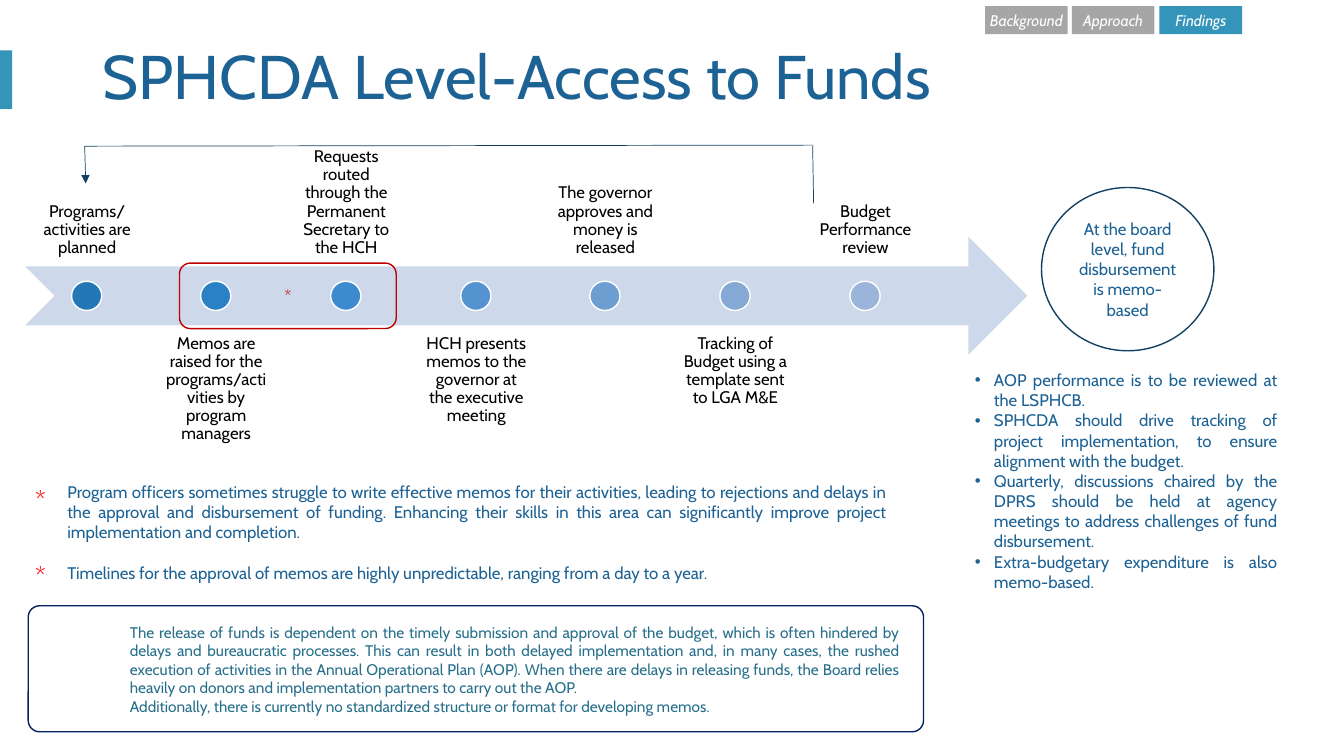
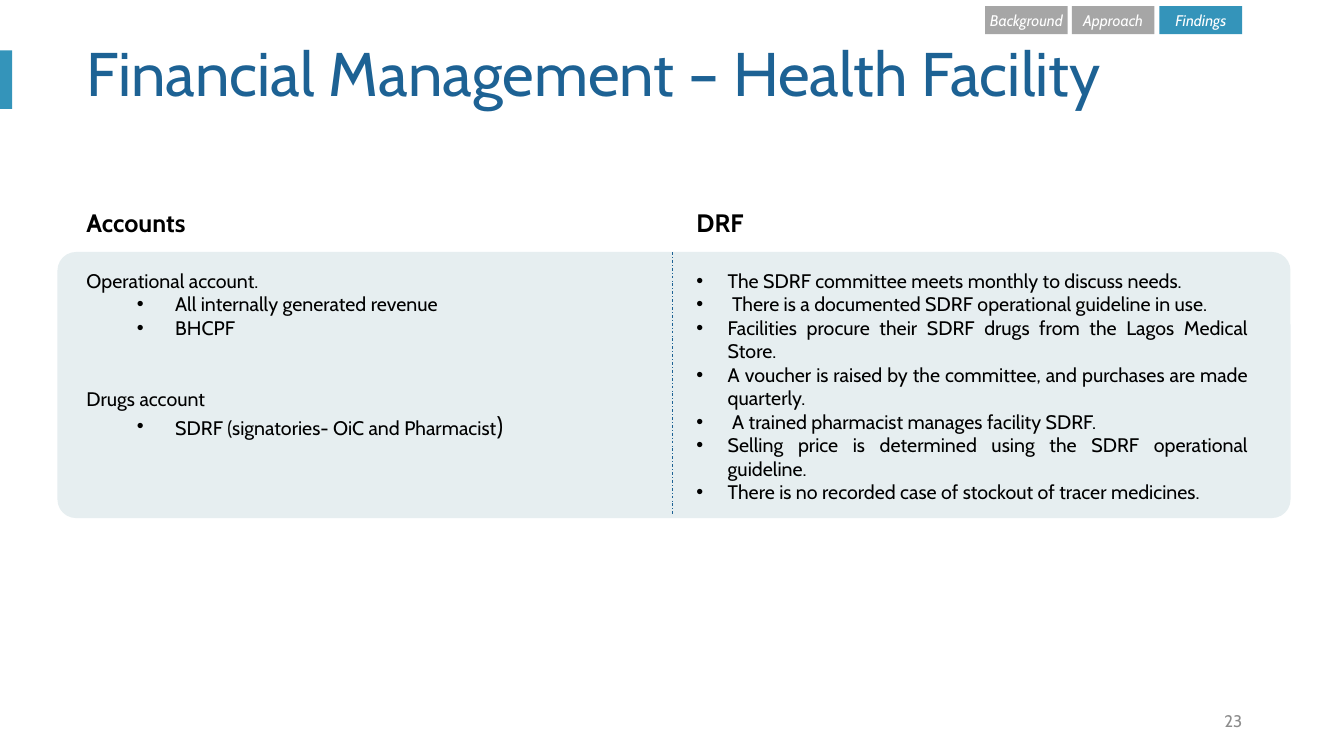
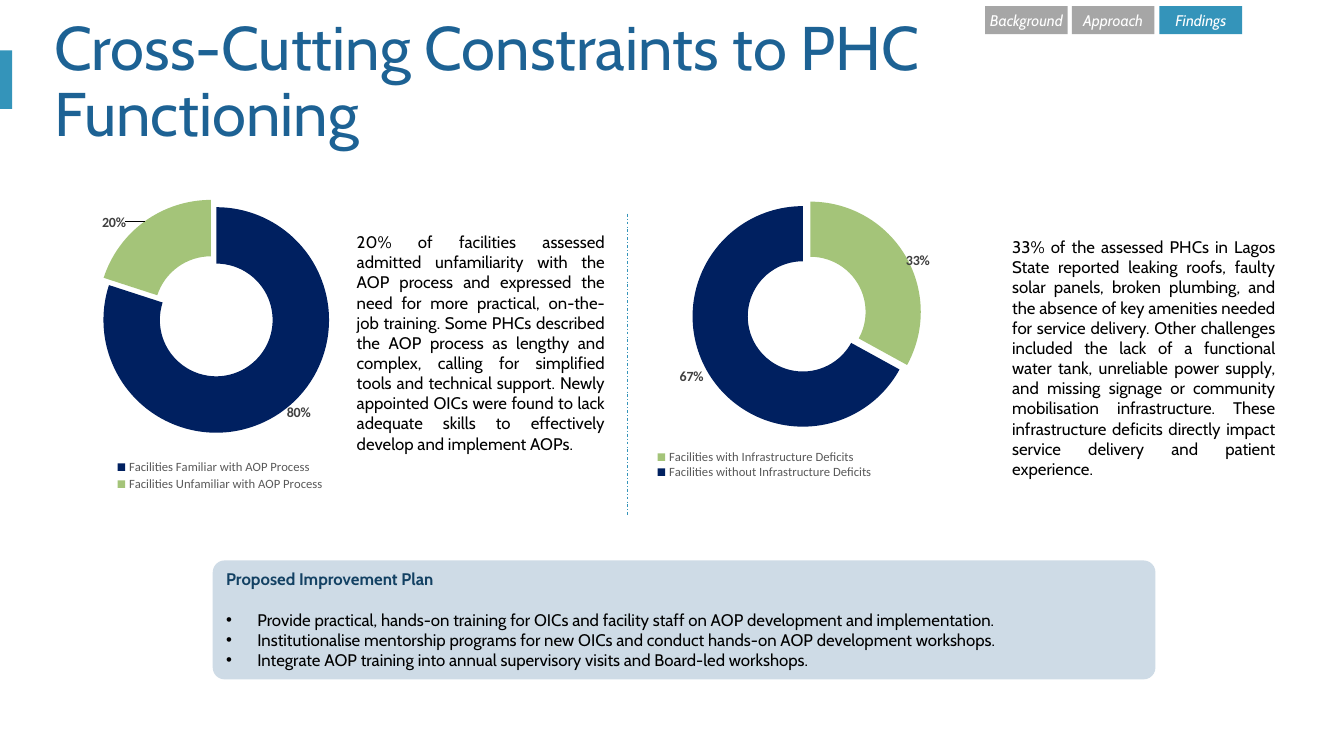
import copy

import lxml.etree
import pptx
import pptx.chart.data
import pptx.dml.color
import pptx.enum.chart
import pptx.enum.dml
import pptx.enum.shapes
import pptx.enum.text
import pptx.oxml
import pptx.oxml.ns
import pptx.util


class Theme:
    font, plain = "Cabin", "Calibri"
    title, head, body, text, small, label, key = 44, 18, 14, 12, 11, 10, 9
    white, black, gray, mute = "FFFFFF", "000000", "A6A6A6", "8C8C8C"
    teal, blue, ink, navy, green = "3494BA", "1D6294", "134163", "002060", "A4C479"
    note, red, dark = "276F8B", "FF0000", "C00000"
    arrow, panel, plan = "CDD9EA", "E6EEF0", "CEDBE6"
    steps = ["2277B4", "2B81C5", "3C8ACF", "5593D0", "6D9ED2", "84A9D5", "9AB5D9"]


PX = 9144  # 100 px to the inch
Pt = pptx.util.Pt
RGB = pptx.dml.color.RGBColor.from_string
qn = pptx.oxml.ns.qn
ALIGN = pptx.enum.text.PP_ALIGN
ANCHOR = pptx.enum.text.MSO_ANCHOR
KIND = pptx.enum.shapes.MSO_SHAPE
BASE = dict(size=Theme.text, color=Theme.black, bold=False, italic=False,
            align=ALIGN.LEFT, lead=None, gap=0, left=0, hang=0)


def put(page, kind, box, lines=(), fill=None, edge=None, adj=None,
        anchor=ANCHOR.TOP, pad=(10, 5), **look):
    """Add a shape, or a text box when kind is None, with its paragraphs."""
    place = [n * PX for n in box]
    if kind is None:
        shape = page.shapes.add_textbox(*place)
    else:
        shape = page.shapes.add_shape(kind, *place)
        shape.shadow.inherit = False
        if fill:
            shape.fill.solid()
            shape.fill.fore_color.rgb = RGB(fill)
        else:
            shape.fill.background()
        if edge:
            shape.line.color.rgb = RGB(edge)
            shape.line.width = Pt(1)
        else:
            shape.line.fill.background()
        if adj:
            shape.adjustments[0] = adj
    frame = shape.text_frame
    wide, high = (n * PX for n in pad)
    for name, val in dict(word_wrap=True, vertical_anchor=anchor,
                          margin_left=wide, margin_right=wide,
                          margin_top=high, margin_bottom=high).items():
        setattr(frame, name, val)
    for i, item in enumerate(lines):
        text, own = item if isinstance(item, tuple) else (item, {})
        form = {**BASE, **look, **own}
        para = frame.add_paragraph() if i else frame.paragraphs[0]
        if form["hang"]:
            props = para._p.get_or_add_pPr()
            props.set("marL", str(form["left"] * PX))
            props.set("indent", str(-form["hang"] * PX))
            lxml.etree.SubElement(props, qn("a:buFont")).set("typeface", "Arial")
            lxml.etree.SubElement(props, qn("a:buChar")).set("char", "•")
        for name, val in dict(alignment=form["align"], line_spacing=form["lead"],
                              space_before=Pt(form["gap"])).items():
            setattr(para, name, val)
        run = para.add_run()
        run.text = text
        for name, val in dict(name=Theme.font, size=Pt(form["size"]),
                              bold=form["bold"], italic=form["italic"]).items():
            setattr(run.font, name, val)
        run.font.color.rgb = RGB(form["color"])
    return shape


def rule(page, ends, color, dash=None, tip=False):
    """Add a thin line, dashed or with an arrowhead at its end."""
    link = page.shapes.add_connector(pptx.enum.shapes.MSO_CONNECTOR.STRAIGHT,
                                     *[n * PX for n in ends])
    link.line.color.rgb = RGB(color)
    link.line.width = Pt(0.5)
    if dash:
        link.line.dash_style = dash
    props = link.element.find(qn("p:spPr"))
    if tip:
        tail = lxml.etree.SubElement(props.find(qn("a:ln")), qn("a:tailEnd"))
        tail.set("type", "triangle")
    lxml.etree.SubElement(props, qn("a:effectLst"))


deck = pptx.Presentation()
deck.slide_width, deck.slide_height = 1333 * PX, 750 * PX
DASH = pptx.enum.dml.MSO_LINE.DASH_DOT

# Shared frame: side band, tabs and title
pages = []
for title, left, top in (
    ("SPHCDA Level-Access to Funds", 92, 40),
    ("Financial Management – Health Facility", 76, 37),
    ("Cross-Cutting Constraints to PHC Functioning", 44, 44),
):
    page = deck.slides.add_slide(deck.slide_layouts[6])
    pages.append(page)
    put(page, KIND.RECTANGLE, (0, 50, 12, 58), fill=Theme.teal)
    for i, tab in enumerate(("Background", "Approach", "Findings")):
        put(page, KIND.RECTANGLE, (977 + i * 173 // 2, 6, 82, 28), [tab],
            fill=Theme.teal if tab == "Findings" else Theme.gray,
            anchor=ANCHOR.MIDDLE, pad=(0, 0), align=ALIGN.CENTER,
            size=Theme.small, color=Theme.white, italic=True)
    put(page, None, (left, top, 1150, 78), [title], anchor=ANCHOR.MIDDLE,
        size=Theme.title, color=Theme.blue, lead=0.9)
funds, desk, limits = pages

# Slide 1: process arrow with its steps above and below
put(funds, KIND.NOTCHED_RIGHT_ARROW, (25, 235, 994, 117), fill=Theme.arrow)
steps = [
    "Programs/ activities are planned",
    "Memos are raised for the programs/activities by program managers",
    "Requests routed through the Permanent Secretary to the HCH",
    "HCH presents memos to the governor at the executive meeting",
    "The governor approves and money is released",
    "Tracking of Budget using a template sent to LGA M&E",
    "Budget Performance review",
]
for i, (step, tone) in enumerate(zip(steps, Theme.steps)):
    x = 25 + i * 772 // 6
    put(funds, None, (x, 323 if i % 2 else 147, 123, 117), [step], pad=(9, 9),
        anchor=ANCHOR.TOP if i % 2 else ANCHOR.BOTTOM,
        align=ALIGN.CENTER, lead=0.9)
    put(funds, KIND.OVAL, (x + 46, 279, 30, 29), fill=tone, edge=Theme.white)

# Feedback loop from review to planning
for ends, tip in (((84, 145, 85, 182), True), ((806, 145, 807, 202), False),
                  ((84, 145, 807, 144), False)):
    rule(funds, ends, Theme.ink, tip=tip)

# Marked steps and the notes on them
put(funds, KIND.ROUNDED_RECTANGLE, (178, 261, 215, 65), ["*"], edge=Theme.dark,
    anchor=ANCHOR.MIDDLE, align=ALIGN.CENTER, color=Theme.dark)
for y in (476, 551):
    put(funds, None, (25, y, 34, 40), ["*"], size=Theme.head, color=Theme.red)
put(funds, None, (57, 473, 833, 111), [
    "Program officers sometimes struggle to write effective memos for their "
    "activities, leading to rejections and delays in the approval and "
    "disbursement of funding. Enhancing their skills in this area can "
    "significantly improve project implementation and completion.",
    ("Timelines for the approval of memos are highly unpredictable, ranging "
     "from a day to a year.", dict(gap=14.5, align=ALIGN.LEFT)),
], align=ALIGN.JUSTIFY, color=Theme.blue)

# Board remarks
put(funds, KIND.OVAL, (1033, 186, 171, 162),
    ["At the board level, fund disbursement is memo-based"], edge=Theme.ink,
    anchor=ANCHOR.MIDDLE, align=ALIGN.CENTER, color=Theme.blue)
put(funds, None, (957, 362, 320, 212), [
    "AOP performance is to be reviewed at the LSPHCB.",
    "SPHCDA should drive tracking of project implementation, to "
    "ensure alignment with the budget.",
    "Quarterly, discussions chaired by the DPRS should be held at agency "
    "meetings to address challenges of fund disbursement.",
    "Extra-budgetary expenditure is also memo-based.",
], align=ALIGN.JUSTIFY, color=Theme.blue, left=19, hang=19)

# Summary box
put(funds, KIND.ROUNDED_RECTANGLE, (28, 601, 888, 125), fill=Theme.white,
    edge=Theme.navy, adj=0.09)
put(funds, None, (119, 613, 784, 103), [
    "The release of funds is dependent on the timely submission and approval "
    "of the budget, which is often hindered by delays and bureaucratic "
    "processes. This can result in both delayed implementation and, in many "
    "cases, the rushed execution of activities in the Annual Operational Plan "
    "(AOP). When there are delays in releasing funds, the Board relies heavily "
    "on donors and implementation partners to carry out the AOP.",
    "Additionally, there is currently no standardized structure or format for "
    "developing memos.",
], align=ALIGN.JUSTIFY, size=Theme.small, color=Theme.note)

# Slide 2: two columns on one panel
put(desk, KIND.ROUNDED_RECTANGLE, (57, 250, 1223, 264), fill=Theme.panel, adj=0.07)
head = dict(size=Theme.head, bold=True)
deep = dict(left=88, hang=38)
flat = dict(left=31, hang=31)
first = put(desk, None, (76, 201, 567, 242), [
    ("Accounts", head),
    ("Operational account.", dict(gap=22)),
    ("All internally generated revenue", deep),
    ("BHCPF", deep),
    ("Drugs account", dict(gap=34)),
    ("SDRF (signatories- OiC and Pharmacist", deep),
], align=ALIGN.JUSTIFY, size=Theme.body)
mark = first.text_frame.paragraphs[-1].add_run()
mark.text = ")"
for name, val in dict(name=Theme.font, size=Pt(Theme.head)).items():
    setattr(mark.font, name, val)
put(desk, None, (681, 201, 567, 259), [
    ("DRF", head),
    ("The SDRF committee meets monthly to discuss needs.", dict(flat, gap=22)),
    (" There is a documented SDRF operational guideline in use.", flat),
    ("Facilities procure their SDRF drugs from the Lagos Medical Store.", flat),
    ("A voucher is raised by the committee, and purchases are made quarterly.", flat),
    (" A trained pharmacist manages facility SDRF.", flat),
    ("Selling price is determined using the SDRF operational guideline.", flat),
    ("There is no recorded case of stockout of tracer medicines.", flat),
], align=ALIGN.JUSTIFY, size=Theme.body)
rule(desk, (667, 250, 667, 510), Theme.blue, dash=DASH)
put(desk, None, (942, 695, 300, 40), ["23"], anchor=ANCHOR.MIDDLE,
    align=ALIGN.RIGHT, color=Theme.mute)

# Slide 3: two doughnuts; plot and key are shares of the chart (x, y, w, h)
rings = [
    dict(box=(587, 185, 398, 300), vals=(33, 67), tones=(Theme.green, Theme.navy),
         cats=("Facilities with Infrastructure Deficits",
               "Facilities without Infrastructure Deficits"),
         plot=(0.27, 0, 0.55, 0.83), key=(0.14, 0.87, 0.58, 0.1),
         shifts=((0.09, -0.03), (-0.1, 0.06)), share=True),
    dict(box=(34, 193, 361, 300), vals=(0.8, 0.2), tones=(Theme.navy, Theme.green),
         cats=("Facilities Familiar with AOP Process",
               "Facilities Unfamiliar with AOP Process"),
         plot=(0.19, 0.04, 0.62, 0.75), key=(0.21, 0.87, 0.6, 0.12),
         shifts=((0.09, 0.08), (-0.13, -0.07)), share=False),
]
for ring in rings:
    data = pptx.chart.data.CategoryChartData(number_format="0%")
    data.categories = ring["cats"]
    data.add_series("Series 1", ring["vals"])
    chart = limits.shapes.add_chart(
        pptx.enum.chart.XL_CHART_TYPE.DOUGHNUT,
        *[n * PX for n in ring["box"]], data).chart
    chart.has_title = False
    chart.has_legend = True
    chart.legend.position = pptx.enum.chart.XL_LEGEND_POSITION.BOTTOM
    chart.legend.include_in_layout = False
    plot = chart.plots[0]
    plot.vary_by_categories = True
    series = plot.series[0]
    for i, tone in enumerate(ring["tones"]):
        fill = series.points[i].format.fill
        fill.solid()
        fill.fore_color.rgb = RGB(tone)
    tags = series.data_labels
    for name, val in dict(number_format="0%", number_format_is_linked=False,
                          show_value=not ring["share"],
                          show_percentage=ring["share"]).items():
        setattr(tags, name, val)
    for font, size, tone, bold in (
        (chart.font, Theme.label, Theme.black, False),
        (chart.legend.font, Theme.key, "595959", False),
        (tags.font, Theme.label, "404040", True),
    ):
        for name, val in dict(name=Theme.plain, size=Pt(size), bold=bold).items():
            setattr(font, name, val)
        font.color.rgb = RGB(tone)

    # Pull the second slice out
    root = chart.element
    root.find(".//" + qn("c:holeSize")).set("val", "75")
    pull = lxml.etree.Element(qn("c:explosion"), val="16")
    slices = root.findall(".//" + qn("c:dPt"))
    slices[1].find(qn("c:spPr")).addprevious(pull)

    # Place plot and legend
    for tag, spot, share in (("c:plotArea", 0, ring["plot"]),
                             ("c:legend", 1, ring["key"])):
        area = root.find(".//" + qn(tag))
        for old in area.findall(qn("c:layout")):
            area.remove(old)
        layout = lxml.etree.Element(qn("c:layout"))
        area.insert(spot, layout)
        hand = lxml.etree.SubElement(layout, qn("c:manualLayout"))
        if tag == "c:plotArea":
            lxml.etree.SubElement(hand, qn("c:layoutTarget"), val="inner")
        for name in ("c:xMode", "c:yMode"):
            lxml.etree.SubElement(hand, qn(name), val="edge")
        for name, val in zip("xywh", share):
            lxml.etree.SubElement(hand, qn("c:" + name), val=str(val))

    # Move each label off its slice
    group = root.find(".//" + qn("c:ser") + "/" + qn("c:dLbls"))
    lead = group.find(qn("c:showLeaderLines"))
    if lead is None:
        lead = lxml.etree.SubElement(group, qn("c:showLeaderLines"))
    lead.set("val", "0" if ring["share"] else "1")
    parts = [part for part in group if part is not lead]
    for i, shift in enumerate(ring["shifts"]):
        label = lxml.etree.Element(qn("c:dLbl"))
        lxml.etree.SubElement(label, qn("c:idx"), val=str(i))
        layout = lxml.etree.SubElement(label, qn("c:layout"))
        hand = lxml.etree.SubElement(layout, qn("c:manualLayout"))
        for name, val in zip("xy", shift):
            lxml.etree.SubElement(hand, qn("c:" + name), val=str(val))
        for part in parts:
            label.append(copy.deepcopy(part))
        group.insert(i, label)

# Text beside each doughnut
for box, text in (
    ((994, 230, 281, 252),
     "33% of the assessed PHCs in Lagos State reported leaking roofs, faulty "
     "solar panels, broken plumbing, and the absence of key amenities needed "
     "for service delivery. Other challenges included the lack of a functional "
     "water tank, unreliable power supply, and missing signage or community "
     "mobilisation infrastructure. These infrastructure deficits directly "
     "impact service delivery and patient experience."),
    ((344, 225, 266, 232),
     "20% of facilities assessed admitted unfamiliarity with the AOP process "
     "and expressed the need for more practical, on-the-job training. Some PHCs "
     "described the AOP process as lengthy and complex, calling for simplified "
     "tools and technical support. Newly appointed OICs were found to lack "
     "adequate skills to effectively develop and implement AOPs."),
):
    put(limits, None, box, [text], align=ALIGN.JUSTIFY)
rule(limits, (622, 212, 622, 513), Theme.teal, dash=DASH)

# Improvement plan
put(limits, KIND.ROUNDED_RECTANGLE, (211, 556, 935, 118), [
    ("Proposed Improvement Plan", dict(color=Theme.ink, bold=True)),
    ("Provide practical, hands-on training for OICs and facility staff on AOP "
     "development and implementation.", dict(flat, gap=14.5)),
    ("Institutionalise mentorship programs for new OICs and conduct hands-on "
     "AOP development workshops.", flat),
    ("Integrate AOP training into annual supervisory visits and Board-led "
     "workshops.", flat),
], fill=Theme.plan, adj=0.1, align=ALIGN.JUSTIFY)

deck.save("out.pptx")
